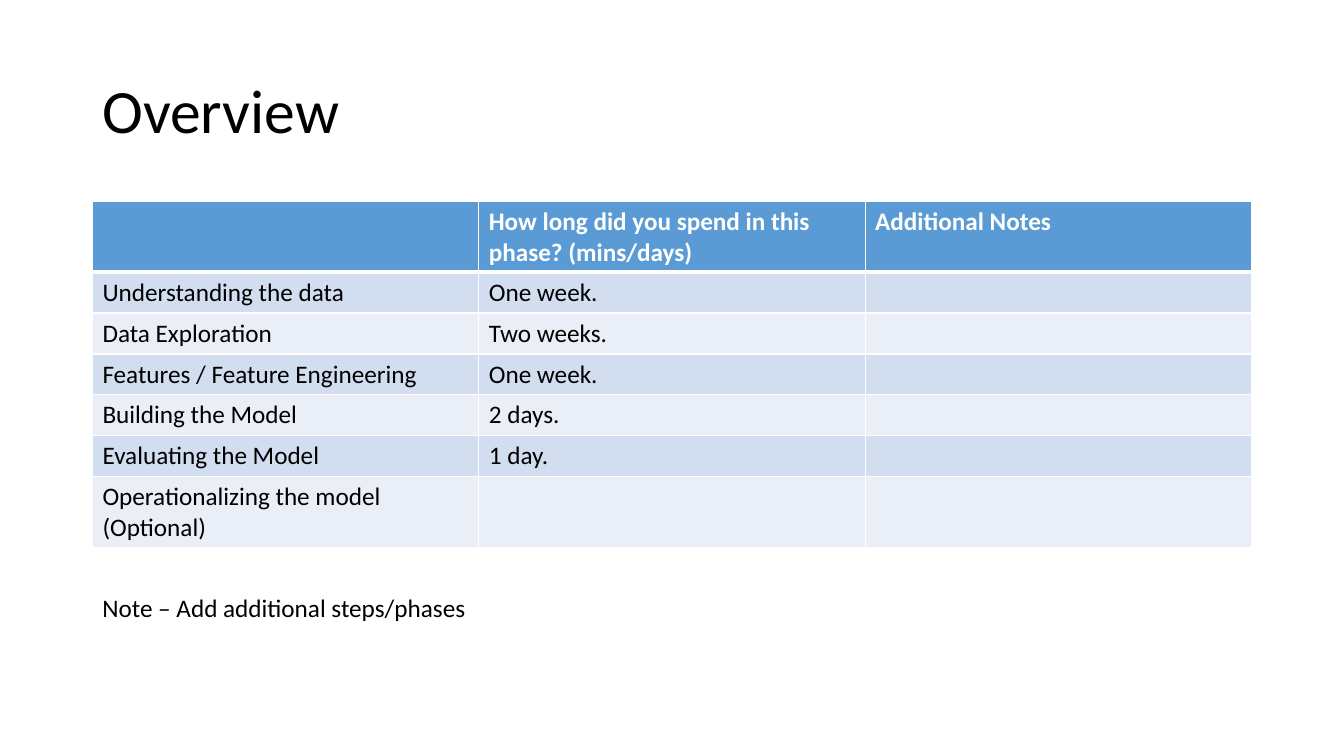
from dataclasses import dataclass

import pptx
import pptx.dml.color
import pptx.enum.text
import pptx.oxml
import pptx.oxml.ns
import pptx.util

Cm = pptx.util.Cm
Pt = pptx.util.Pt

COLORS = {
    "text": "000000",
    "white": "FFFFFF",
    "header": "5B9BD5",
    "odd_row": "D2DEEF",
    "even_row": "EAEFF7",
}
FONT = "Calibri"
LEFT, WIDTH = Cm(2.33), Cm(29.21)
ROW_HEIGHT = Cm(1.03)


@dataclass(frozen=True)
class Phase:
    name: str
    time_spent: str = ""
    notes: str = ""


HEADINGS = Phase("", "How long did you spend in this phase? (mins/days)", "Additional Notes")
PHASES = [
    Phase("Understanding the data", "One week."),
    Phase("Data Exploration", "Two weeks."),
    Phase("Features / Feature Engineering", "One week."),
    Phase("Building the Model", "2 days."),
    Phase("Evaluating the Model", "1 day."),
    Phase("Operationalizing the model (Optional)"),
]


def rgb(name: str) -> pptx.dml.color.RGBColor:
    return pptx.dml.color.RGBColor.from_string(COLORS[name])


def write(frame, text: str, size: int = 18, color: str = "text", bold: bool = False):
    """Fill a text frame with one styled paragraph and return the paragraph."""
    para = frame.paragraphs[0]
    para.text = text
    para.font.name = FONT
    para.font.size = Pt(size)
    para.font.bold = bold
    para.font.color.rgb = rgb(color)
    return para


def set_borders(cell, top: int = 1, bottom: int = 1) -> None:
    """Draw white cell borders; widths are in points."""
    properties = cell._tc.get_or_add_tcPr()
    widths = {"lnL": 1, "lnR": 1, "lnT": top, "lnB": bottom}
    for position, (side, width) in enumerate(widths.items()):
        line = pptx.oxml.parse_xml(
            f'<a:{side} {pptx.oxml.ns.nsdecls("a")} w="{Pt(width)}"><a:solidFill>'
            f'<a:srgbClr val="{COLORS["white"]}"/></a:solidFill></a:{side}>'
        )
        properties.insert(position, line)


def add_title(page) -> None:
    box = page.shapes.add_textbox(LEFT, Cm(1.01), WIDTH, Cm(3.68))
    box.text_frame.word_wrap = True
    box.text_frame.vertical_anchor = pptx.enum.text.MSO_ANCHOR.MIDDLE
    write(box.text_frame, "Overview", size=44).line_spacing = 0.9


def add_phase_table(page) -> None:
    rows = [HEADINGS, *PHASES]
    graphic = page.shapes.add_table(
        len(rows), 3, LEFT, Cm(5.08), WIDTH, ROW_HEIGHT * len(rows)
    )
    for row_index, phase in enumerate(rows):
        is_header = row_index == 0
        fill = "header" if is_header else "odd_row" if row_index % 2 else "even_row"
        for column, text in enumerate((phase.name, phase.time_spent, phase.notes)):
            cell = graphic.table.cell(row_index, column)
            write(cell.text_frame, text, color="white" if is_header else "text", bold=is_header)
            cell.fill.solid()
            cell.fill.fore_color.rgb = rgb(fill)
            set_borders(cell, top=3 if row_index == 1 else 1, bottom=3 if is_header else 1)
    graphic.height = Cm(8.71)


def add_note(page) -> None:
    box = page.shapes.add_textbox(LEFT, Cm(14.81), Cm(9.78), Cm(1.03))
    box.text_frame.word_wrap = False
    box.text_frame.auto_size = pptx.enum.text.MSO_AUTO_SIZE.SHAPE_TO_FIT_TEXT
    write(box.text_frame, "Note – Add additional steps/phases")


def main() -> None:
    deck = pptx.Presentation()
    deck.slide_width, deck.slide_height = Cm(33.87), Cm(19.05)
    page = deck.slides.add_slide(deck.slide_layouts[6])
    add_title(page)
    add_phase_table(page)
    add_note(page)
    deck.save("out.pptx")


if __name__ == "__main__":
    main()
